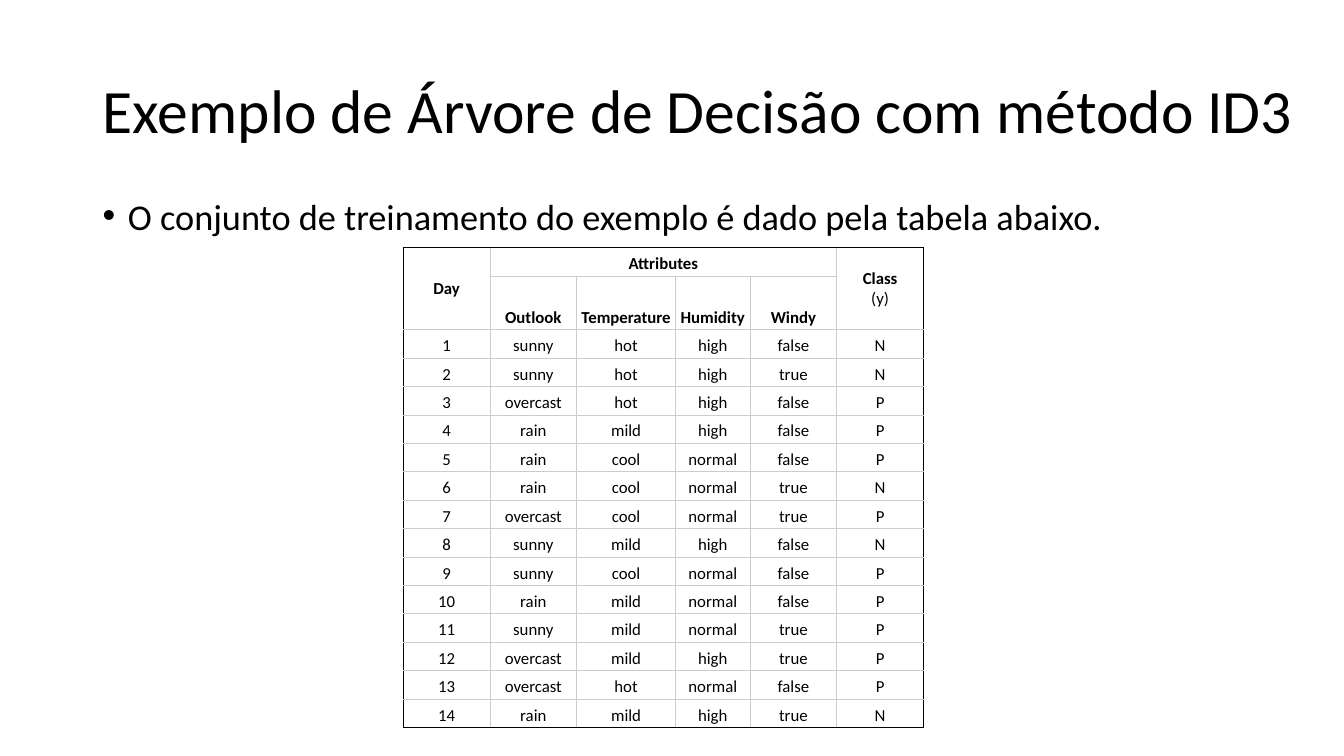
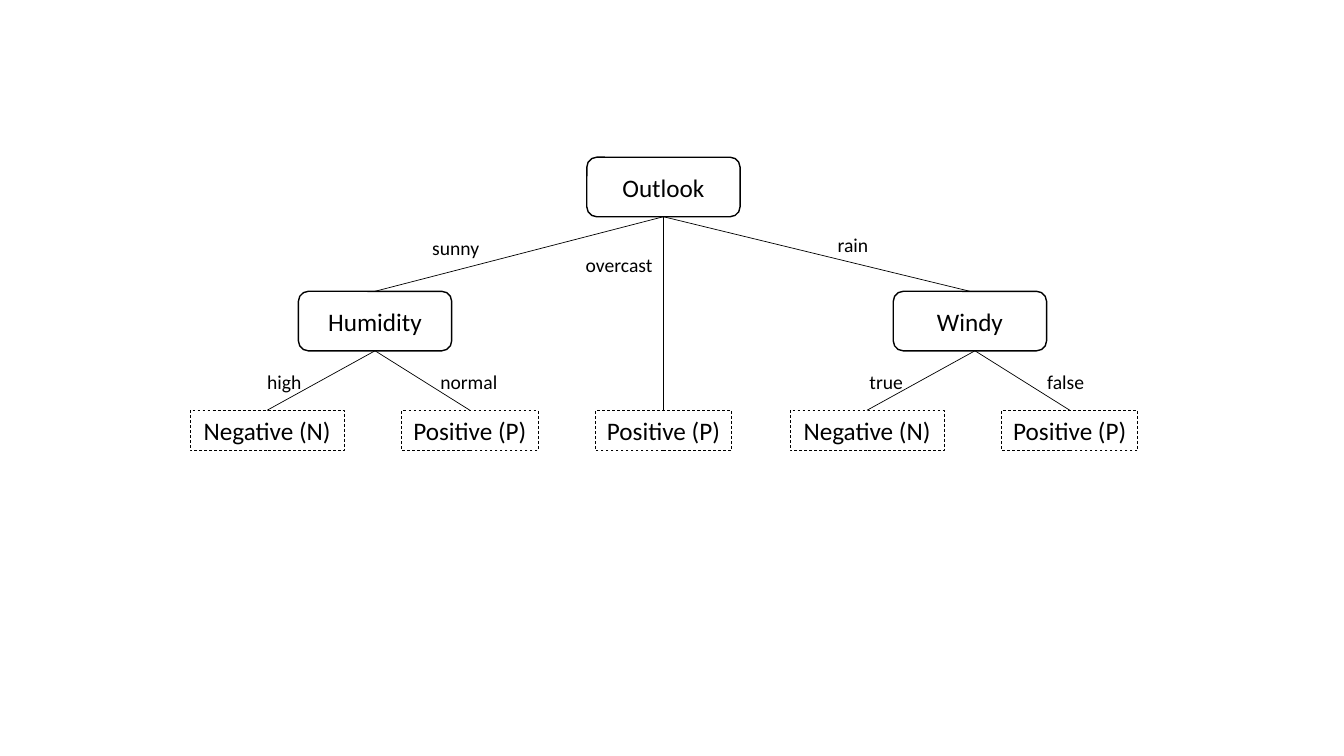
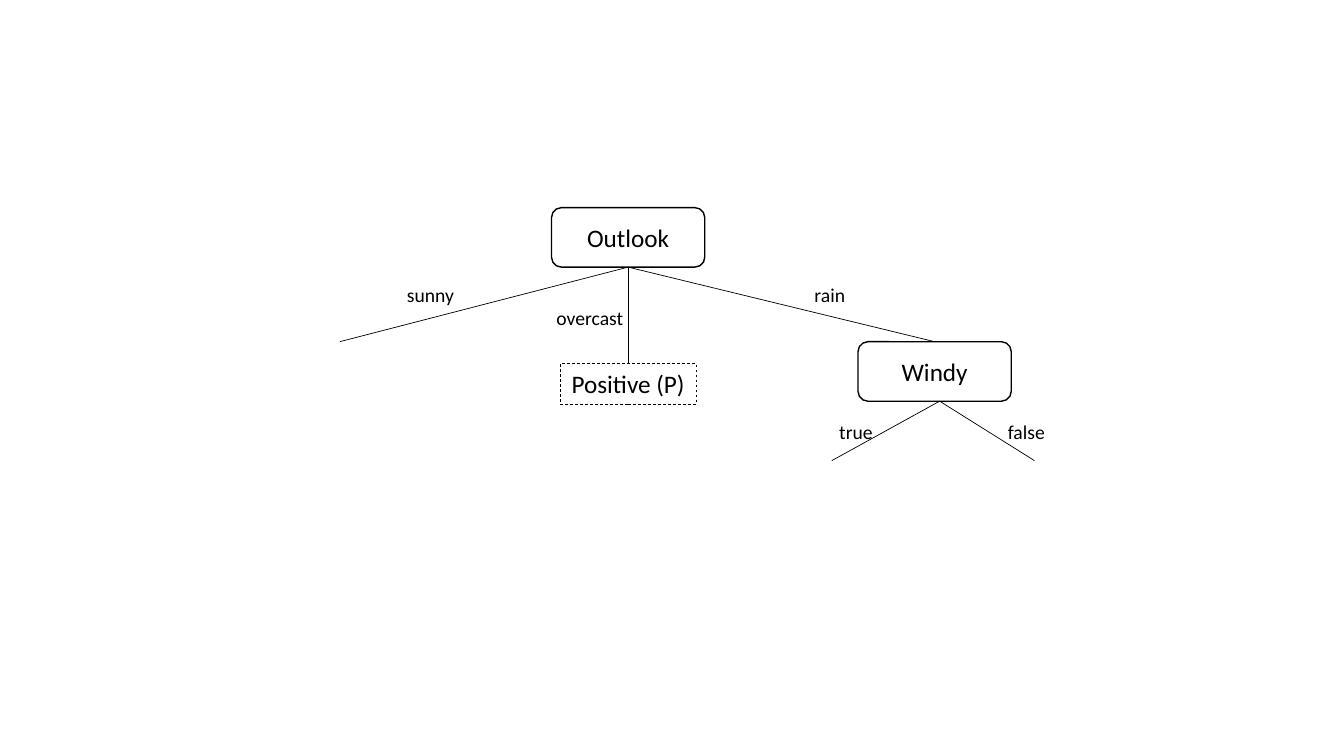
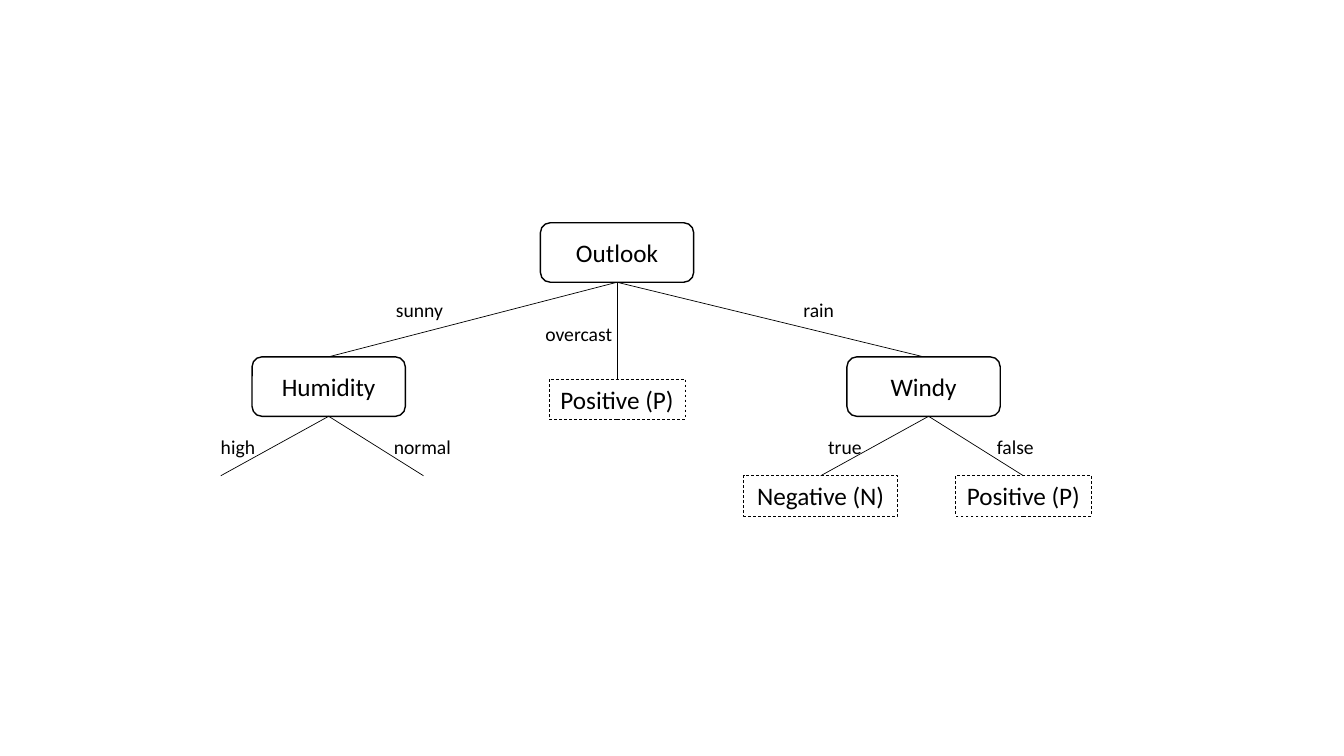
from lxml.etree import SubElement
from pptx import Presentation
from pptx.dml.color import RGBColor
from pptx.enum.dml import MSO_LINE
from pptx.enum.shapes import MSO_CONNECTOR, MSO_SHAPE
from pptx.enum.text import MSO_ANCHOR, MSO_AUTO_SIZE, PP_ALIGN
from pptx.oxml import parse_xml
from pptx.oxml.ns import nsdecls, qn
from pptx.util import Inches, Pt

FONT, INK, PAPER, GRID = "Calibri", "000000", "FFFFFF", "CCCCCC"
SLIDE_W, SLIDE_H = 13.33, 7.5

TITLE = "Exemplo de Árvore de Decisão com método ID3"
INTRO = "O conjunto de treinamento do exemplo é dado pela tabela abaixo."
ATTRIBUTES = ["Outlook", "Temperature", "Humidity", "Windy"]
TRAINING_DAYS = [
    "sunny hot high false N",
    "sunny hot high true N",
    "overcast hot high false P",
    "rain mild high false P",
    "rain cool normal false P",
    "rain cool normal true N",
    "overcast cool normal true P",
    "sunny mild high false N",
    "sunny cool normal false P",
    "rain mild normal false P",
    "sunny mild normal true P",
    "overcast mild high true P",
    "overcast hot normal false P",
    "rain mild high true N",
]
TABLE_LEFT, TABLE_TOP, TABLE_H, SUBHEAD_H = 4, 2.46, 4.76, 0.53
COLUMNS = [0.86, 0.86, 0.98, 0.74, 0.86, 0.86]
MERGES = [((0, 0), (1, 0)), ((0, 1), (0, 4)), ((0, 5), (1, 5))]

NODE_W, NODE_H = 1.52, 0.59
LEAF_H, LABEL_W, LABEL_H = 0.4, 1.35, 0.34
BRANCH_DROP = 0.74
LEAF_WIDTHS = {"Positive (P)": 1.35, "Negative (N)": 1.53}
# Offsets run from the bottom centre of the root node
BRANCHES = {"Humidity": -2.86, "Windy": 3.04}
FORKS = {"Humidity": (-2.86, ("high", "normal")), "Windy": (3.09, ("true", "false"))}
FORK_LEAVES = [(-1.07, "Negative (N)"), (0.94, "Positive (P)")]
FORK_DROP, FORK_LABEL_DROP = 0.59, 0.14

# root: bottom centre of the root; labels: label centre and top
TREES = [
    {"root": (6.58, 2.15), "overcast_drop": 1.92,
     "nodes": ["Humidity", "Windy"], "decided": ["Humidity", "Windy"],
     "labels": {"sunny": (-2.06, 0.14), "overcast": (-0.44, 0.31), "rain": (1.88, 0.11)},
     "fork_labels": {"high": -0.9, "normal": 0.93, "true": -0.88, "false": 0.9}},
    {"root": (6.23, 2.65), "overcast_drop": 0.96,
     "nodes": ["Windy"], "decided": [],
     "labels": {"sunny": (-1.96, 0.11), "overcast": (-0.38, 0.34), "rain": (2, 0.11)},
     "fork_labels": {"true": -0.83, "false": 0.86}},
    {"root": (6.12, 2.8), "overcast_drop": 0.96,
     "nodes": ["Humidity", "Windy"], "decided": ["Windy"],
     "labels": {"sunny": (-1.96, 0.11), "overcast": (-0.38, 0.34), "rain": (2, 0.11)},
     "fork_labels": {"high": -0.9, "normal": 0.93, "true": -0.83, "false": 0.86}},
]


def rgb(color):
    return RGBColor.from_string(color)


def apply(target, values):
    for key, value in values.items():
        setattr(target, key, value)


def write(paragraph, text, size, bold=False, **paragraph_format):
    apply(paragraph, paragraph_format)
    run = paragraph.add_run()
    run.text = text
    apply(run.font, {"name": FONT, "size": Pt(size), "bold": bold})
    run.font.color.rgb = rgb(INK)
    return run


def place(shape, left, top, width, height):
    apply(shape, {"left": Inches(left), "top": Inches(top),
                  "width": Inches(width), "height": Inches(height)})


def add_text(slide, text, size, at, **paragraph_format):
    box = slide.shapes.add_textbox(*map(Inches, at))
    box.text_frame.word_wrap = True
    write(box.text_frame.paragraphs[0], text, size, **paragraph_format)
    return box


def add_outlined(slide, preset, text, at, width_pt):
    shape = slide.shapes.add_shape(preset, *map(Inches, at))
    shape.shadow.inherit = False
    shape.line.color.rgb = rgb(INK)
    shape.line.width = Pt(width_pt)
    shape.text_frame.word_wrap = True
    run = write(shape.text_frame.paragraphs[0], text, 18, alignment=PP_ALIGN.CENTER)
    return shape, run


def add_node(slide, text, center, top):
    at = (center - NODE_W / 2, top, NODE_W, NODE_H)
    node, run = add_outlined(slide, MSO_SHAPE.ROUNDED_RECTANGLE, text, at, 1)
    node.fill.solid()
    node.fill.fore_color.rgb = rgb(PAPER)
    node.text_frame.vertical_anchor = MSO_ANCHOR.MIDDLE
    run.font._element.insert(0, parse_xml(
        f'<a:ln {nsdecls("a")} w="9525"><a:solidFill>'
        f'<a:srgbClr val="{INK}"/></a:solidFill></a:ln>'))


def add_leaf(slide, text, center, top):
    width = LEAF_WIDTHS[text]
    at = (center - width / 2, top, width, LEAF_H)
    leaf, _ = add_outlined(slide, MSO_SHAPE.RECTANGLE, text, at, 0.5)
    leaf.fill.background()
    leaf.line.dash_style = MSO_LINE.DASH
    apply(leaf.text_frame, {"vertical_anchor": MSO_ANCHOR.TOP,
                            "auto_size": MSO_AUTO_SIZE.SHAPE_TO_FIT_TEXT})


def add_label(slide, text, center, top):
    label = add_text(slide, text, 14, (center - LABEL_W / 2, top, LABEL_W, LABEL_H),
                     alignment=PP_ALIGN.CENTER)
    label.text_frame.auto_size = MSO_AUTO_SIZE.SHAPE_TO_FIT_TEXT


def add_edge(slide, x, y, dx, dy):
    edge = slide.shapes.add_connector(
        MSO_CONNECTOR.STRAIGHT, *map(Inches, (x, y, x + dx, y + dy)))
    edge.line.color.rgb = rgb(INK)
    edge.line.width = Pt(0.5)
    SubElement(edge._element.spPr, qn("a:effectLst"))


def add_tree(slide, tree):
    x, y = tree["root"]
    fork_y = y + BRANCH_DROP + NODE_H
    for dx in BRANCHES.values():
        add_edge(slide, x, y, dx, BRANCH_DROP)
    add_edge(slide, x, y, 0, tree["overcast_drop"])
    add_node(slide, "Outlook", x, y - NODE_H)
    add_leaf(slide, "Positive (P)", x, y + tree["overcast_drop"])
    for text, (dx, dy) in tree["labels"].items():
        add_label(slide, text, x + dx, y + dy)

    for name in tree["nodes"]:
        add_node(slide, name, x + BRANCHES[name], y + BRANCH_DROP)
        offset, answers = FORKS[name]
        fork_x = x + offset
        for answer, (dx, outcome) in zip(answers, FORK_LEAVES):
            add_edge(slide, fork_x, fork_y, dx, FORK_DROP)
            add_label(slide, answer, fork_x + tree["fork_labels"][answer],
                      fork_y + FORK_LABEL_DROP)
            if name in tree["decided"]:
                add_leaf(slide, outcome, fork_x + dx, fork_y + FORK_DROP)


def set_borders(cell, colors):
    for side, color in colors.items():
        border = SubElement(cell._tc.get_or_add_tcPr(), qn(f"a:ln{side}"), w="9525")
        fill = SubElement(border, qn("a:solidFill"))
        SubElement(fill, qn("a:srgbClr"), val=color)


def add_training_table(slide):
    rows = [["Day", "Attributes", "", "", "", "Class\n(y)"], ["", *ATTRIBUTES, ""]]
    rows += [[str(day), *line.split()] for day, line in enumerate(TRAINING_DAYS, 1)]
    last_row, last_column = len(rows) - 1, len(COLUMNS) - 1
    row_h = (TABLE_H - SUBHEAD_H) / last_row
    table = slide.shapes.add_table(
        len(rows), len(COLUMNS),
        *map(Inches, (TABLE_LEFT, TABLE_TOP, sum(COLUMNS), TABLE_H))).table
    apply(table, {"first_row": False, "horz_banding": False})
    for column, width in zip(table.columns, COLUMNS):
        column.width = Inches(width)
    for r, row in enumerate(rows):
        table.rows[r].height = Inches(SUBHEAD_H if r == 1 else row_h)
        for c, text in enumerate(row):
            cell = table.cell(r, c)
            spans_header = r == 0 and c in (0, last_column)
            apply(cell, {
                "margin_left": Inches(0.03), "margin_right": Inches(0.03),
                "margin_top": Inches(0.02), "margin_bottom": Inches(0.02),
                "vertical_anchor": MSO_ANCHOR.MIDDLE if spans_header else MSO_ANCHOR.BOTTOM})
            outer = {"L": c == 0, "R": c == last_column, "T": r == 0, "B": r == last_row}
            set_borders(cell, {side: INK if edge else GRID for side, edge in outer.items()})
            cell.fill.background()
            for i, line in enumerate(text.split("\n") if text else []):
                frame = cell.text_frame
                paragraph = frame.add_paragraph() if i else frame.paragraphs[0]
                write(paragraph, line, 12, bold=r < 2 and i == 0, alignment=PP_ALIGN.CENTER)
    for first, last in MERGES:
        table.cell(*first).merge(table.cell(*last))


def add_example(slide):
    title = slide.shapes.title
    place(title, 0.92, 0.4, 12.03, 1.45)
    apply(title.text_frame, {"vertical_anchor": MSO_ANCHOR.MIDDLE, "word_wrap": True,
                             "auto_size": MSO_AUTO_SIZE.NONE})
    write(title.text_frame.paragraphs[0], TITLE, 44,
          alignment=PP_ALIGN.LEFT, line_spacing=0.9)

    intro = add_text(slide, INTRO, 25.9, (0.92, 2, 11.5, 0.44),
                     line_spacing=0.7, space_before=Pt(10))
    bullet = intro.text_frame.paragraphs[0]._p.get_or_add_pPr()
    bullet.set("marL", str(Inches(0.25)))
    bullet.set("indent", str(-Inches(0.25)))
    SubElement(bullet, qn("a:buFont"), typeface="Arial")
    SubElement(bullet, qn("a:buChar"), char="•")
    add_training_table(slide)


def main():
    deck = Presentation()
    apply(deck, {"slide_width": Inches(SLIDE_W), "slide_height": Inches(SLIDE_H)})
    title_only, blank = deck.slide_layouts[5], deck.slide_layouts[6]
    add_example(deck.slides.add_slide(title_only))
    for tree in TREES:
        add_tree(deck.slides.add_slide(blank), tree)
    deck.save("out.pptx")


if __name__ == "__main__":
    main()
